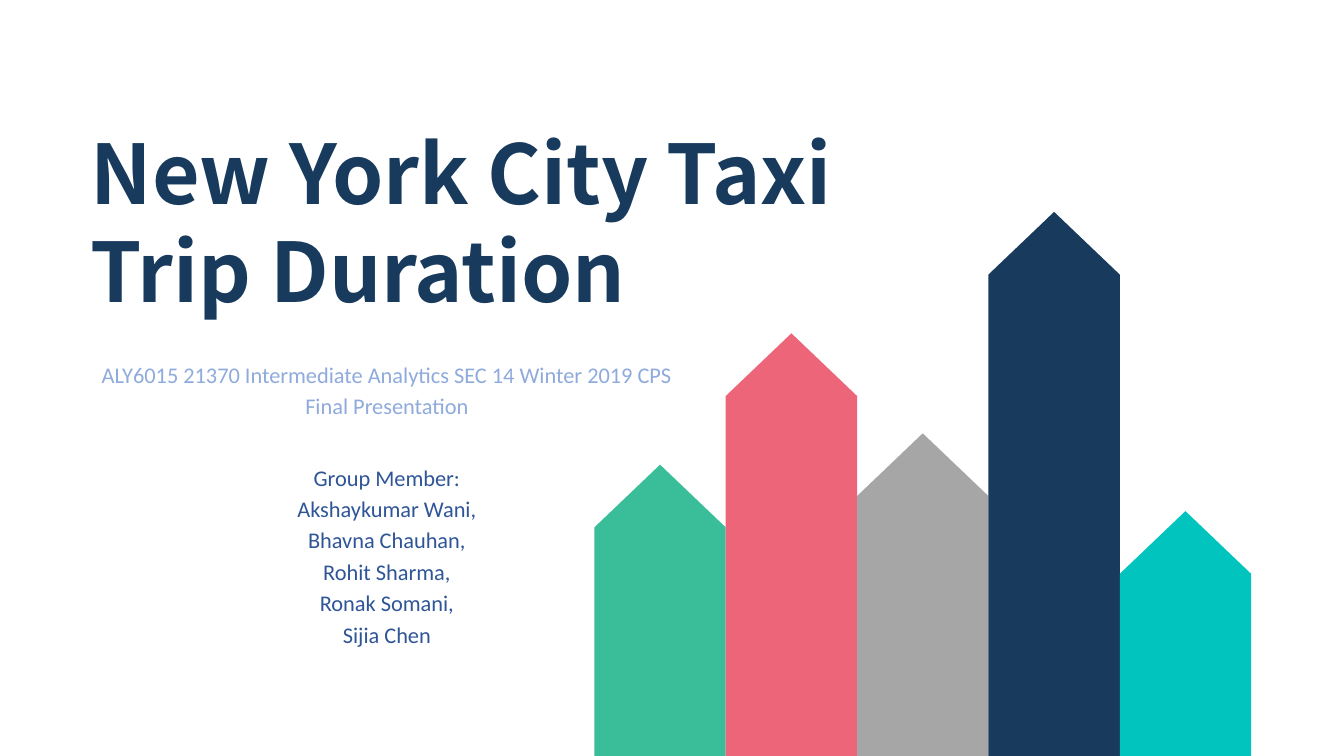
from dataclasses import dataclass

from pptx import Presentation
from pptx import util as u
from pptx.dml.color import RGBColor
from pptx.enum import text

NAVY = RGBColor(0x18, 0x3A, 0x5D)
GREEN = RGBColor(0x3A, 0xBE, 0x99)
PINK = RGBColor(0xED, 0x65, 0x79)
GREY = RGBColor(0xA6, 0xA6, 0xA6)
TEAL = RGBColor(0x01, 0xC4, 0xBE)
PALE_BLUE = RGBColor(0x8F, 0xAA, 0xDC)
BLUE = RGBColor(0x2F, 0x55, 0x97)

SLIDE_W, SLIDE_H = 33.87, 19.05
MARGIN = 2.03
BARS_LEFT, BAR_W, ROOF_H = 14.98, 3.31, 1.58


@dataclass
class Bar:
    peak: float
    color: RGBColor


BARS = [
    Bar(11.71, GREEN),
    Bar(8.4, PINK),
    Bar(10.92, GREY),
    Bar(5.34, NAVY),
    Bar(12.88, TEAL),
]
COURSE = [
    "ALY6015 21370 Intermediate Analytics SEC 14 Winter 2019 CPS",
    "Final Presentation",
]
MEMBERS = [
    "Akshaykumar Wani,",
    "Bhavna Chauhan,",
    "Rohit Sharma,",
    "Ronak Somani,",
    "Sijia Chen",
]


def place(s, left: float, top: float, width: float, height: float) -> None:
    s.left, s.top = u.Cm(left), u.Cm(top)
    s.width, s.height = u.Cm(width), u.Cm(height)


def write(tf, content: str, *, size: float, color: RGBColor, font: str = "Calibri",
          bold: bool = False, align=text.PP_ALIGN.CENTER, spacing: float = 1.0,
          before: float = 3.2) -> None:
    first = not tf.text
    p = tf.paragraphs[0] if first else tf.add_paragraph()
    p.alignment = align
    p.line_spacing = spacing
    p.space_before = u.Pt(0 if first else before)
    r = p.add_run()
    r.text = content
    r.font.name = font
    r.font.size = u.Pt(size)
    r.font.bold = bold
    r.font.color.rgb = color


def draw_bar(shapes, bar: Bar, left: float) -> None:
    right, eaves = left + BAR_W, bar.peak + ROOF_H
    outline = [(left, SLIDE_H), (left, eaves), (left + BAR_W / 2, bar.peak),
               (right, eaves), (right, SLIDE_H)]
    points = [(u.Cm(x), u.Cm(y)) for x, y in outline]
    builder = shapes.build_freeform(*points[0])
    builder.add_line_segments(points[1:], close=True)
    s = builder.convert_to_shape()
    s.shadow.inherit = False
    s.fill.solid()
    s.fill.fore_color.rgb = bar.color
    s.line.fill.background()


def main() -> None:
    prs = Presentation()
    prs.slide_width, prs.slide_height = u.Cm(SLIDE_W), u.Cm(SLIDE_H)
    slide = prs.slides.add_slide(prs.slide_layouts[5])

    for i, bar in enumerate(BARS):
        draw_bar(slide.shapes, bar, BARS_LEFT + i * BAR_W)

    title = slide.shapes.title
    place(title, MARGIN, 2.95, 20.37, 5.28)
    tf = title.text_frame
    tf.word_wrap = True
    tf.auto_size = text.MSO_AUTO_SIZE.NONE
    tf.vertical_anchor = text.MSO_ANCHOR.TOP
    write(tf, "New York City Taxi Trip Duration", size=58.7, color=NAVY,
          font="Noto Sans CJK SC", bold=True, align=text.PP_ALIGN.LEFT)

    details = slide.shapes.add_textbox(0, 0, 0, 0)
    place(details, MARGIN, 8.97, 15.44, 7.72)
    tf = details.text_frame
    tf.word_wrap = True
    for line in COURSE:
        write(tf, line, size=16, color=PALE_BLUE)
    write(tf, "Group Member:", size=16, color=BLUE, spacing=2.5)
    for member in MEMBERS:
        write(tf, member, size=16, color=BLUE)

    prs.save("out.pptx")


if __name__ == "__main__":
    main()
